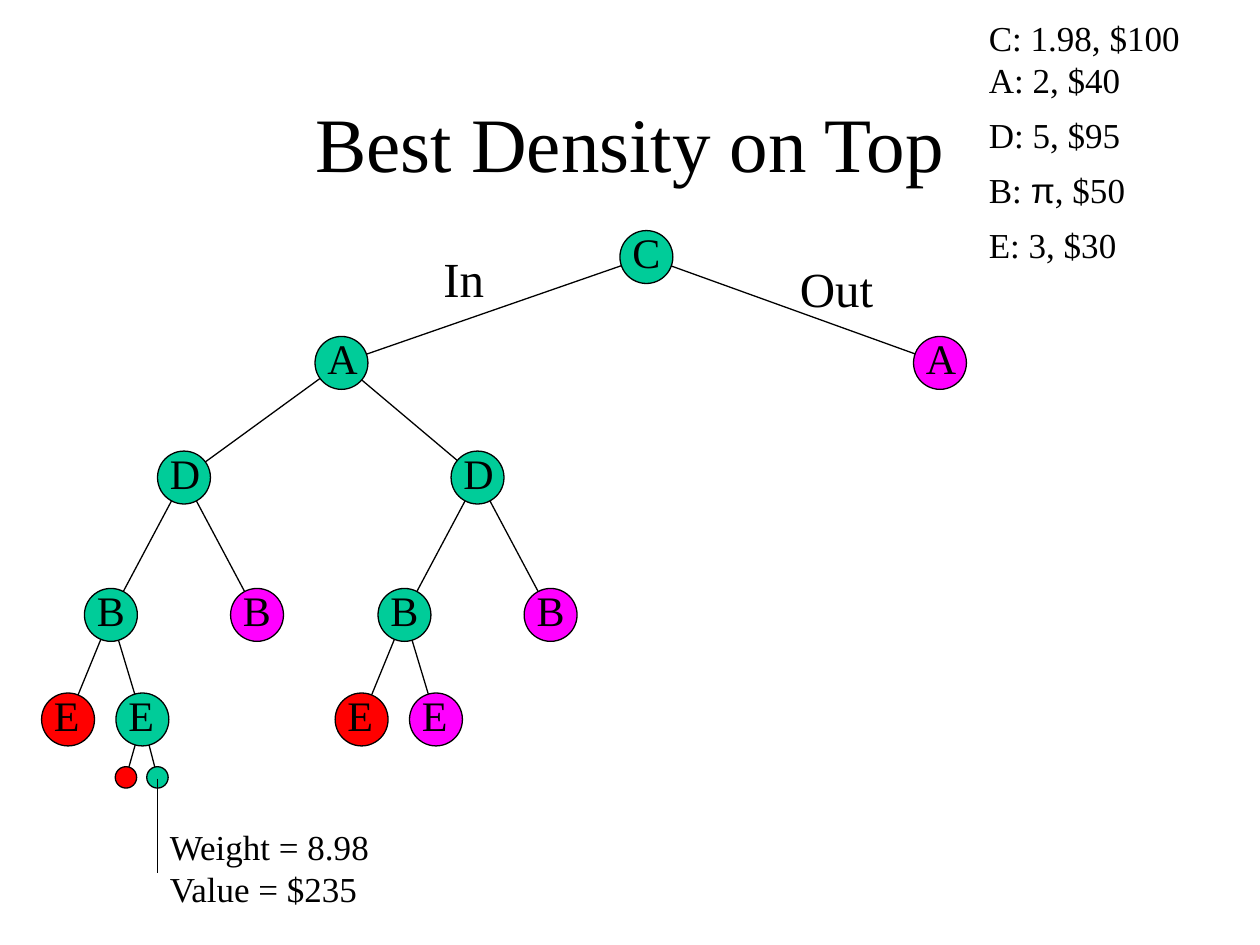
"""Build the slide with a branch and bound tree ordered by best density."""
import pptx
import pptx.dml.color
import pptx.enum.shapes
import pptx.enum.text
import pptx.oxml.ns
import pptx.util
from lxml import etree

Inches = pptx.util.Inches
Pt = pptx.util.Pt
color = pptx.dml.color.RGBColor.from_string
FONT = "Times New Roman"
BLACK, GREEN, RED, MAGENTA = "000000", "00CC99", "FF0000", "FF00FF"
LINE_WIDTH = Pt(0.75)
NODE_SIZE, LEAF_SIZE = 0.42, 0.17
LABEL_HEIGHT, LABEL_RISE = 0.5, 0.04
LABEL_WIDTHS = {"A": 0.44, "B": 0.42, "C": 0.42, "D": 0.44, "E": 0.4}
LEVELS = {"C": 2.04, "A": 2.88, "D": 3.79, "B": 4.88, "E": 5.71, "": 6.17}
SUBTREE_GAP = 2.33


def add_text(left, top, width, height, size, lines, wrap=False):
    box = page.shapes.add_textbox(Inches(left), Inches(top), Inches(width), Inches(height))
    frame = box.text_frame
    frame.word_wrap = wrap
    frame.text = "\n".join(lines)
    for para in frame.paragraphs:
        para.font.size = Pt(size)
        para.font.name = FONT
        para.font.color.rgb = color(BLACK)
    return frame


def add_line(start_x, start_y, end_x, end_y):
    line = page.shapes.add_connector(
        pptx.enum.shapes.MSO_CONNECTOR.STRAIGHT,
        Inches(start_x), Inches(start_y), Inches(end_x), Inches(end_y))
    line.line.color.rgb = color(BLACK)
    line.line.width = LINE_WIDTH
    etree.SubElement(line._element.spPr, pptx.oxml.ns.qn("a:effectLst"))


deck = pptx.Presentation()
deck.slide_width, deck.slide_height = Inches(10), Inches(7.5)
page = deck.slides.add_slide(deck.slide_layouts[6])

title = add_text(0.75, 0.5, 8.5, 1.25, 44, ["Best Density on Top"], wrap=True)
title.vertical_anchor = pptx.enum.text.MSO_ANCHOR.MIDDLE
title.paragraphs[0].alignment = pptx.enum.text.PP_ALIGN.CENTER

root = ("C", 5.13, GREEN)
item_a_in = ("A", 2.71, GREEN)
item_a_out = ("A", 7.46, MAGENTA)
nodes = [root, item_a_in, item_a_out]
branches = [(root, item_a_in), (root, item_a_out)]

for shift, last_fill in ((0, GREEN), (SUBTREE_GAP, MAGENTA)):
    item_d = ("D", 1.46 + shift, GREEN)
    item_b_in = ("B", 0.88 + shift, GREEN)
    item_b_out = ("B", 2.04 + shift, MAGENTA)
    too_heavy = ("E", 0.54 + shift, RED)
    last_item = ("E", 1.13 + shift, last_fill)
    nodes += [item_d, item_b_in, item_b_out, too_heavy, last_item]
    branches += [
        (item_a_in, item_d),
        (item_d, item_b_in), (item_d, item_b_out),
        (item_b_in, too_heavy), (item_b_in, last_item),
    ]
    if last_fill == GREEN:
        leaves = [("", 1, RED), ("", 1.25, GREEN)]
        nodes += leaves
        branches += [(last_item, leaf) for leaf in leaves]

for (parent, parent_x, _), (child, child_x, _) in branches:
    add_line(parent_x, LEVELS[parent], child_x, LEVELS[child])

for label, center_x, fill in nodes:
    center_y = LEVELS[label]
    size = NODE_SIZE if label else LEAF_SIZE
    left = center_x - size / 2
    circle = page.shapes.add_shape(
        pptx.enum.shapes.MSO_SHAPE.OVAL,
        Inches(left), Inches(center_y - size / 2), Inches(size), Inches(size))
    circle.shadow.inherit = False
    circle.fill.solid()
    circle.fill.fore_color.rgb = color(fill)
    circle.line.color.rgb = color(BLACK)
    circle.line.width = LINE_WIDTH
    if label:
        label_top = center_y - LABEL_HEIGHT / 2 - LABEL_RISE
        add_text(left, label_top, LABEL_WIDTHS[label], LABEL_HEIGHT, 24, [label])

add_text(3.42, 1.92, 0.52, 0.57, 28, ["In"])
add_text(6.25, 2, 0.78, 0.57, 28, ["Out"])

add_line(1.25, 6.18, 1.25, 6.93)
add_text(1.25, 6.5, 1.8, 0.77, 20, ["Weight = 8.98", "Value = $235"])

items = add_text(7.75, 0.08, 1.83, 2.08, 20,
                 ["C: 1.98, $100 A: 2, $40", "D: 5, $95", "", "E: 3, $30"], wrap=True)
for para in items.paragraphs[1:]:
    para.space_before = Pt(7.5)
for text, font in (("B: ", FONT), ("π", "Arial"), (", $50", FONT)):
    span = items.paragraphs[2].add_run()
    span.text = text
    span.font.name = font

deck.save("out.pptx")
